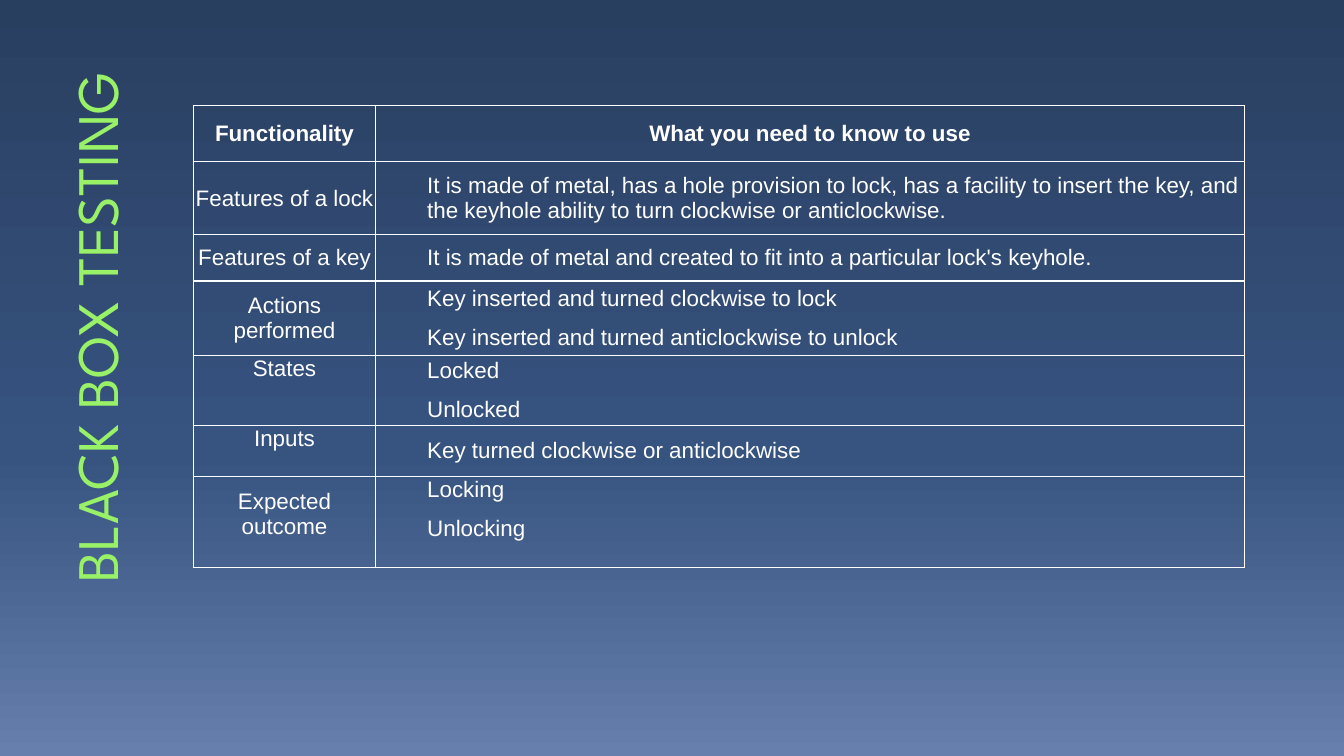
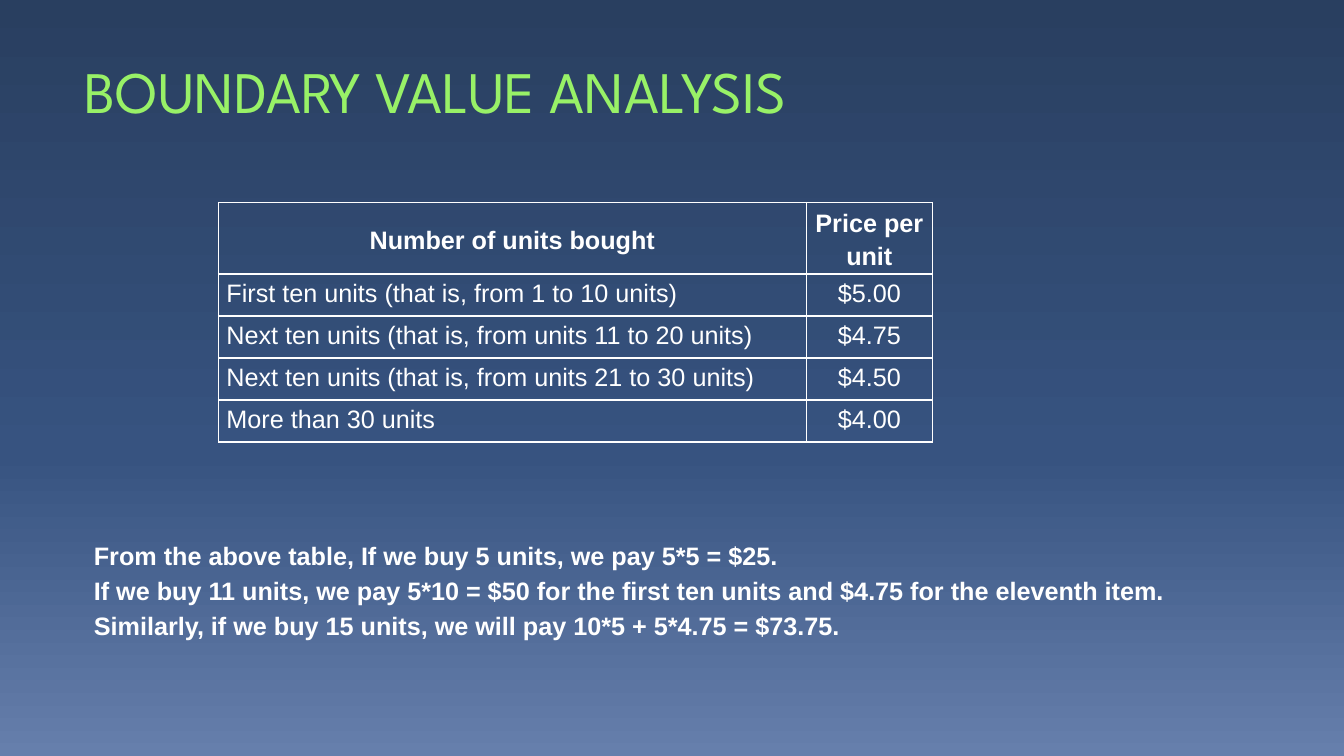
from copy import deepcopy

from lxml.etree import SubElement
from pptx import Presentation
from pptx.dml.color import RGBColor
from pptx.enum.text import MSO_ANCHOR, PP_ALIGN
from pptx.oxml.ns import qn
from pptx.util import Emu, Inches, Pt

# Shared style
WHITE, LIME, OLIVE = "FFFFFF", "98F167", "589129"
BACKGROUND = [(0, "293F60"), (0.6, "375380"), (1, "667FAC")]
TITLE_FONT = {"name": "League Spartan", "size": Pt(42), "bold": False}
LARGE_FONT = {"name": "Arial", "size": Pt(18), "bold": False}
SMALL_FONT = {"name": "Arial", "size": Pt(16), "bold": False}
BOLD = {"bold": True}
CENTER = {"alignment": PP_ALIGN.CENTER}
LOOSE = {"line_spacing": 1.15}
TOP = {"vertical_anchor": MSO_ANCHOR.TOP}
MIDDLE = {"vertical_anchor": MSO_ANCHOR.MIDDLE}
CELL_MARGINS = {f"margin_{side}": Inches(0.01)
                for side in ("left", "right", "top", "bottom")}
INDENTED = {"margin_left": Inches(0.51)}

# Slide grid: 160 columns by 90 rows of square units
SLIDE_WIDTH, SLIDE_HEIGHT = Emu(12192000), Emu(6858000)
UNIT = SLIDE_WIDTH / 160


def grid(*counts):
    return [Emu(round(count * UNIT)) for count in counts]


def color(value):
    return RGBColor.from_string(value)


def apply(target, *formats):
    for values in formats:
        for name, value in values.items():
            setattr(target, name, value)


def paint_background(master):
    fill = master.background.fill
    fill.gradient()
    fill.gradient_angle = 270
    stops = master.element.find(".//" + qn("a:gsLst"))
    stops.append(deepcopy(stops[-1]))
    for stop, (position, value) in zip(fill.gradient_stops, BACKGROUND):
        stop.position = position
        stop.color.rgb = color(value)


def write(frame, lines, font, layout, value=WHITE, gap=0):
    """Fill a text frame with one paragraph for each line."""
    frame.word_wrap = True
    for index, line in enumerate(lines):
        para = frame.add_paragraph() if index else frame.paragraphs[0]
        apply(para, layout)
        if index and gap:
            para.space_before = Pt(gap)
        span = para.add_run()
        span.text = line
        apply(span.font, font)
        span.font.color.rgb = color(value)


def add_line(parent, tag, width, value):
    line = SubElement(parent, qn(tag), w=str(Pt(width)))
    fill = SubElement(line, qn("a:solidFill"))
    SubElement(fill, qn("a:srgbClr"), val=value)
    return line


def add_title(page, text, place, rotation=0):
    box = page.shapes.add_textbox(*grid(*place))
    box.rotation = rotation
    apply(box.text_frame, MIDDLE)
    write(box.text_frame, [text], TITLE_FONT, {"line_spacing": 0.9}, LIME)
    # The letter outline comes before the letter fill
    properties = box.text_frame.paragraphs[0].runs[0].font._element
    properties.insert(0, add_line(properties, "a:ln", 0.5, OLIVE))


def add_grid_table(page, left, top, columns, rows):
    place = grid(left, top, sum(columns), sum(rows))
    table = page.shapes.add_table(len(rows), len(columns), *place).table
    apply(table, {"first_row": False, "horz_banding": False})
    for column, width in zip(table.columns, grid(*columns)):
        column.width = width
    for row, height in zip(table.rows, grid(*rows)):
        row.height = height
    for cell in table.iter_cells():
        properties = cell._tc.get_or_add_tcPr()
        for side in "LRTB":
            add_line(properties, f"a:ln{side}", 1, WHITE)
        cell.fill.background()
        apply(cell, CELL_MARGINS, MIDDLE)
    return table


def build_black_box(page):
    add_title(page, "BLACK BOX TESTING", (-22.4, 27.2, 68.5, 18.1), 270)

    # Row height, label, label format, details, details format
    raised = {"margin_bottom": Inches(0.16)}
    features = [
        (8.68, "Features of a lock", MIDDLE,
         ["It is made of metal, has a hole provision to lock, has a facility to "
          "insert the key, and the keyhole ability to turn clockwise or "
          "anticlockwise."], MIDDLE),
        (5.5, "Features of a key", MIDDLE,
         ["It is made of metal and created to fit into a particular lock's "
          "keyhole."], MIDDLE),
        (8.87, "Actions performed", MIDDLE,
         ["Key inserted and turned clockwise to lock",
          "Key inserted and turned anticlockwise to unlock"], MIDDLE),
        (7.86, "States", TOP, ["Locked", "Unlocked"], MIDDLE),
        (6.1, "Inputs", TOP, ["Key turned clockwise or anticlockwise"], MIDDLE),
        (10.83, "Expected outcome", raised, ["Locking", "Unlocking"], TOP),
    ]
    heights = [6.67] + [feature[0] for feature in features]
    table = add_grid_table(page, 23, 12.6, (21.75, 103.4), heights)

    for index, heading in enumerate(("Functionality", "What you need to know to use")):
        write(table.cell(0, index).text_frame, [heading], SMALL_FONT | BOLD, CENTER)
    for row, (_, label, label_format, details, details_format) in enumerate(features, 1):
        name, detail = table.cell(row, 0), table.cell(row, 1)
        apply(name, label_format)
        apply(detail, details_format, INDENTED)
        write(name.text_frame, [label], SMALL_FONT, CENTER)
        write(detail.text_frame, details, SMALL_FONT, {}, gap=10)


def build_boundary_values(page):
    add_title(page, "BOUNDARY VALUE ANALYSIS", (8.9, 3.7, 136.4, 15.1))

    # Price table
    prices = [
        ("Number of units bought", "Price per unit"),
        ("First ten units (that is, from 1 to 10 units)", "$5.00"),
        ("Next ten units (that is, from units 11 to 20 units)", "$4.75"),
        ("Next ten units (that is, from units 21 to 30 units)", "$4.50"),
        ("More than 30 units", "$4.00"),
    ]
    table = add_grid_table(page, 26, 24.1, (70, 15), [8] + [5] * 4)
    for row, texts in enumerate(prices):
        for column, text in enumerate(texts):
            cell = table.cell(row, column)
            font, layout = LARGE_FONT, LOOSE | CENTER
            if row == 0:
                font = LARGE_FONT | BOLD
            else:
                apply(cell, TOP)
                if column == 0:
                    layout = LOOSE
                    cell.margin_left = Inches(0.08)
            write(cell.text_frame, [text], font, layout)

    # Worked examples
    box = page.shapes.add_textbox(*grid(10, 63.2, 143, 13.8))
    write(box.text_frame, [
        "From the above table, If we buy 5 units, we pay 5*5 = $25.",
        "If we buy 11 units, we pay 5*10 = $50 for the first ten units and $4.75 "
        "for the eleventh item.",
        "Similarly, if we buy 15 units, we will pay 10*5 + 5*4.75 = $73.75.",
    ], LARGE_FONT | BOLD, LOOSE)


def main():
    deck = Presentation()
    apply(deck, {"slide_width": SLIDE_WIDTH, "slide_height": SLIDE_HEIGHT})
    paint_background(deck.slide_master)
    for build in (build_black_box, build_boundary_values):
        build(deck.slides.add_slide(deck.slide_layouts[6]))
    deck.save("out.pptx")


if __name__ == "__main__":
    main()
